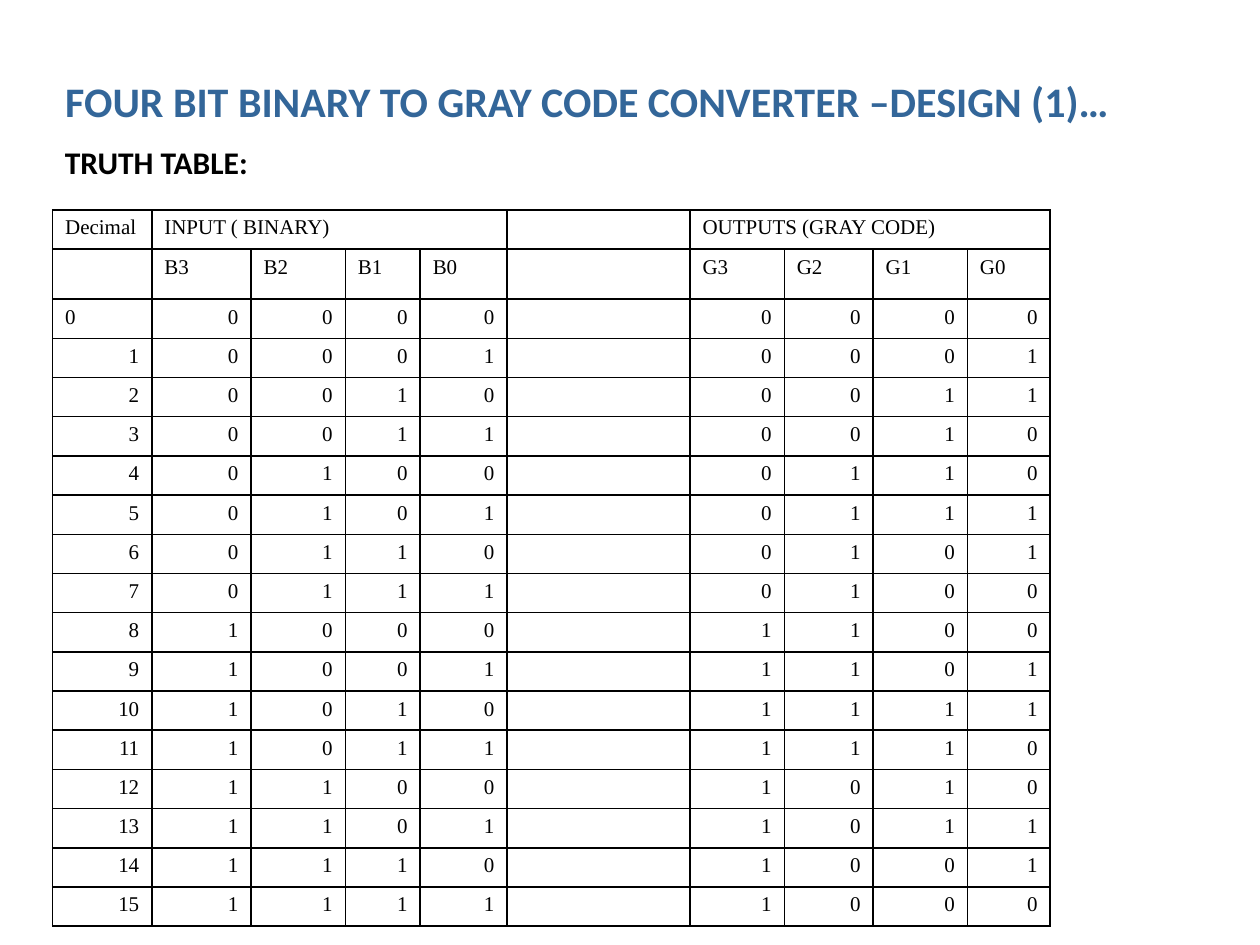
from dataclasses import dataclass

from lxml import etree
from pptx import Presentation
from pptx.dml.color import RGBColor
from pptx.enum.text import MSO_ANCHOR, MSO_AUTO_SIZE, PP_ALIGN
from pptx.oxml.ns import qn
from pptx.util import Cm, Pt

LEFT, RIGHT = PP_ALIGN.LEFT, PP_ALIGN.RIGHT
TOP, MIDDLE = MSO_ANCHOR.TOP, MSO_ANCHOR.MIDDLE
NO_FIT = MSO_AUTO_SIZE.NONE
FIT_SHAPE = MSO_AUTO_SIZE.SHAPE_TO_FIT_TEXT

BLACK, BLUE = "000000", "336699"
COLS = [2, 2, 1.9, 1.51, 1.75, 3.69, 1.9, 1.79, 1.9, 1.67]
ROW, HEAD = 0.79, 1.01
BITS = 4


@dataclass
class Style:
    font: str
    size: int
    color: str
    bold: bool = False


TITLE = Style("Calibri", 24, BLUE, True)
LABEL = Style("Calibri", 18, BLACK, True)
CELL = Style("Times New Roman", 12, BLACK)


def rgb(code: str) -> RGBColor:
    return RGBColor.from_string(code)


def write(frame, text: str, style: Style, align=LEFT) -> None:
    para = frame.paragraphs[0]
    para.alignment = align
    run = para.add_run()
    run.text = text
    font = run.font
    font.name, font.size, font.bold = style.font, Pt(style.size), style.bold
    font.color.rgb = rgb(style.color)


def place(shape, left: float, top: float, width: float, height: float) -> None:
    shape.left, shape.top = Cm(left), Cm(top)
    shape.width, shape.height = Cm(width), Cm(height)


def border(cell, color: str, width: int) -> None:
    props = cell._tc.get_or_add_tcPr()
    for spot, side in enumerate(("lnL", "lnR", "lnT", "lnB")):
        line = etree.Element(qn(f"a:{side}"), w=str(Pt(width)))
        fill = etree.SubElement(line, qn("a:solidFill"))
        etree.SubElement(fill, qn("a:srgbClr"), val=color)
        props.insert(spot, line)


def fill_cell(cell, text: str, align) -> None:
    cell.fill.background()
    border(cell, BLACK, 1)
    if text:
        write(cell.text_frame, text, CELL, align)
    else:
        # An empty cell keeps the small text height
        para = cell.text_frame.paragraphs[0]._p
        etree.SubElement(para, qn("a:endParaRPr"), sz=str(CELL.size * 100))


def bits(value: int) -> list[str]:
    return list(f"{value:0{BITS}b}")


def names(letter: str) -> list[str]:
    return [f"{letter}{bit}" for bit in reversed(range(BITS))]


def truth_rows() -> list[list[str]]:
    gap = [""] * (BITS - 1)
    rows = [
        ["Decimal", "INPUT ( BINARY)", *gap, "", "OUTPUTS (GRAY CODE)", *gap],
        ["", *names("B"), "", *names("G")],
    ]
    for num in range(2 ** BITS):
        gray = num ^ (num >> 1)
        rows.append([str(num), *bits(num), "", *bits(gray)])
    return rows


def draw_table(slide, left: float, top: float) -> None:
    rows = truth_rows()
    high = ROW * (len(rows) - 1) + HEAD
    frame = slide.shapes.add_table(
        len(rows), len(COLS), Cm(left), Cm(top), Cm(sum(COLS)), Cm(high))
    table = frame.table
    table.first_row = table.horz_banding = False
    for col, width in zip(table.columns, COLS):
        col.width = Cm(width)
    for r, row in enumerate(rows):
        table.rows[r].height = Cm(HEAD if r == 1 else ROW)
        for c, text in enumerate(row):
            # Headings and the first decimal stay at the left
            align = LEFT if r < 2 or (r, c) == (2, 0) else RIGHT
            fill_cell(table.cell(r, c), text, align)
    # Group headings span their bits
    for first in (1, BITS + 2):
        table.cell(0, first).merge(table.cell(0, first + BITS - 1))


def main() -> None:
    deck = Presentation()
    deck.slide_width, deck.slide_height = Cm(25.4), Cm(19.05)
    slide = deck.slides.add_slide(deck.slide_layouts[5])

    # Title
    title = slide.shapes.title
    place(title, 1.06, 0.43, 21.6, 3.18)
    frame = title.text_frame
    frame.word_wrap, frame.auto_size = True, NO_FIT
    frame.vertical_anchor = MIDDLE
    write(frame, "FOUR BIT BINARY TO GRAY CODE CONVERTER –DESIGN (1)…", TITLE)

    # Table label
    label = slide.shapes.add_textbox(Cm(1.06), Cm(2.75), Cm(6.88), Cm(1.27))
    frame = label.text_frame
    frame.word_wrap, frame.auto_size = True, FIT_SHAPE
    frame.vertical_anchor = TOP
    write(frame, "TRUTH TABLE:", LABEL)

    # Truth table
    draw_table(slide, 1.06, 4.23)
    deck.save("out.pptx")


if __name__ == "__main__":
    main()
